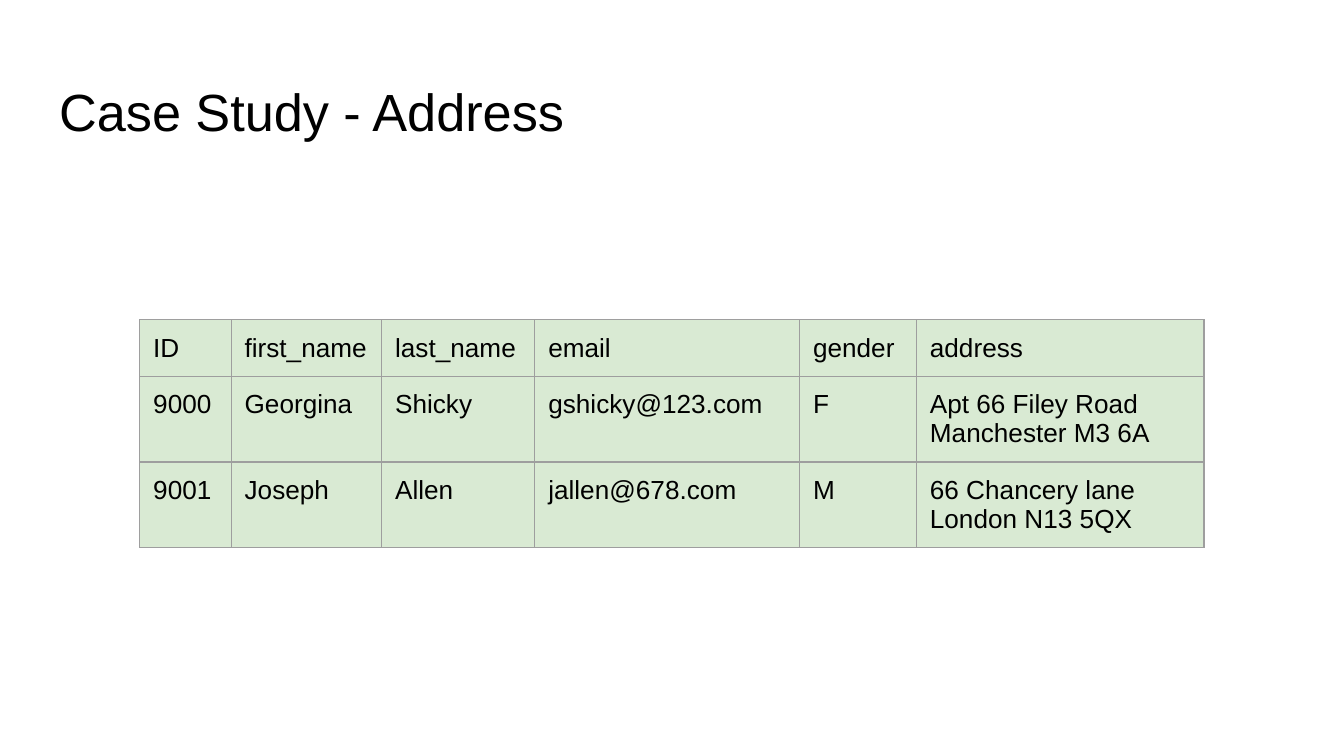
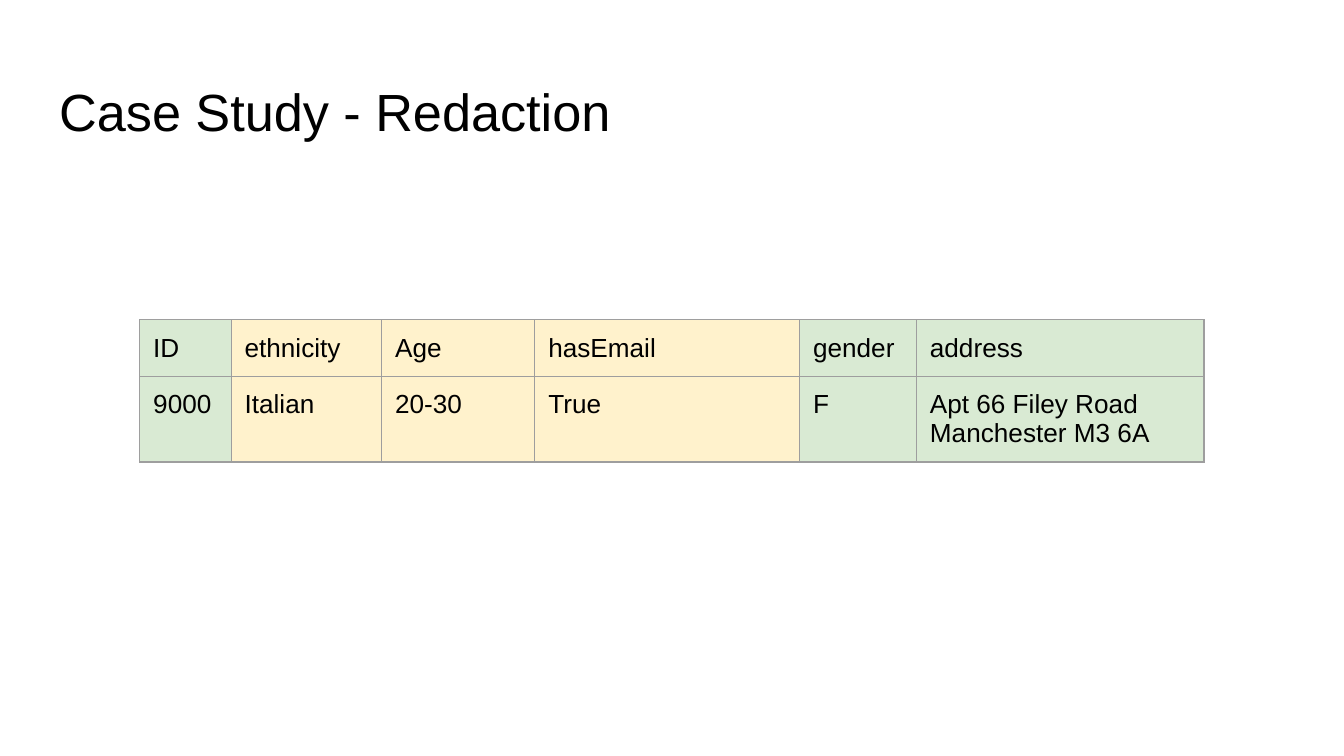
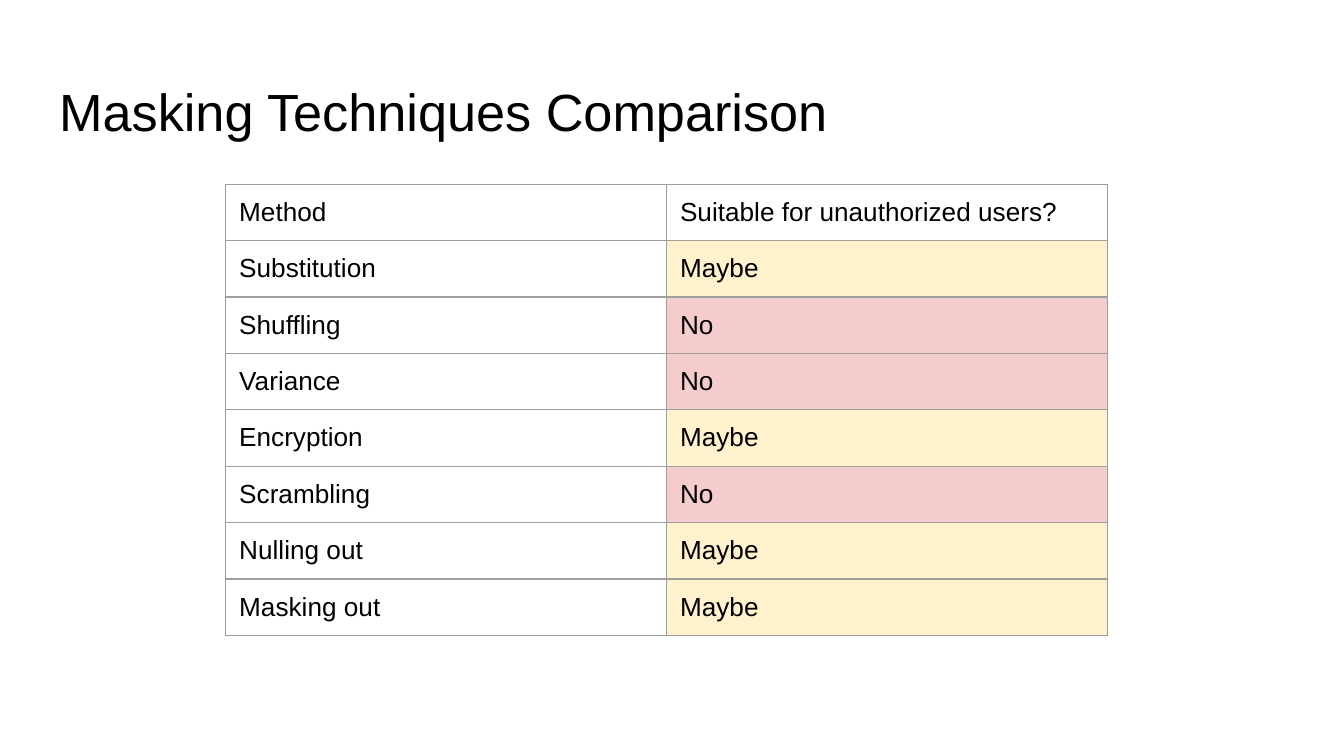
from lxml import etree
from pptx import Presentation
from pptx.dml.color import RGBColor
from pptx.enum import text
from pptx.oxml import ns
from pptx.util import Inches, Pt

COLORS = {"text": "000000", "border": "9E9E9E", "green": "D9EAD3",
          "yellow": "FFF2CC", "red": "F4CCCC"}
FONT = "Arial"
TITLE_ONLY = 5
TITLE_BOX = {"left": 0.34, "top": 0.49, "width": 9.32, "height": 0.63}
MARGINS = {"margin_left": 0.1, "margin_right": 0.1,
           "margin_top": 0.1, "margin_bottom": 0.1}
ROW_HEIGHT = 0.42
BORDER_WIDTH = 0.75

RECORD_AT = (1.04, 2.38)
RECORD_COLS = [0.68, 1.12, 1.14, 1.97, 0.87, 2.14]
COMPARISON_AT = (1.68, 1.37)
COMPARISON_COLS = [3.28, 3.28]

ADDRESS_ROWS = [
    ["ID", "first_name", "last_name", "email", "gender", "address"],
    ["9000", "Georgina", "Shicky", "gshicky@123.com", "F",
     "Apt 66 Filey Road Manchester M3 6A"],
    ["9001", "Joseph", "Allen", "jallen@678.com", "M",
     "66 Chancery lane London N13 5QX"],
]
REDACTION_ROWS = [
    ["ID", "ethnicity", "Age", "hasEmail", "gender", "address"],
    ["9000", "Italian", "20-30", "True", "F",
     "Apt 66 Filey Road Manchester M3 6A"],
]
REDACTED_COLS = (1, 2, 3)
COMPARISON_ROWS = [
    ["Method", "Suitable for unauthorized users?"],
    ["Substitution", "Maybe"],
    ["Shuffling", "No"],
    ["Variance", "No"],
    ["Encryption", "Maybe"],
    ["Scrambling", "No"],
    ["Nulling out", "Maybe"],
    ["Masking out", "Maybe"],
]
ANSWER_FILLS = {"Maybe": "yellow", "No": "red"}


def rgb(name):
    return RGBColor.from_string(COLORS[name])


def set_lengths(obj, lengths):
    for name, value in lengths.items():
        setattr(obj, name, Inches(value))


def write(tf, words, size):
    p = tf.paragraphs[0]
    p.alignment = text.PP_ALIGN.LEFT
    r = p.add_run()
    r.text = words
    for name, value in {"name": FONT, "size": Pt(size), "bold": False}.items():
        setattr(r.font, name, value)
    r.font.color.rgb = rgb("text")


def add_slide(prs, title):
    slide = prs.slides.add_slide(prs.slide_layouts[TITLE_ONLY])
    sp = slide.shapes.title
    set_lengths(sp, TITLE_BOX)
    tf = sp.text_frame
    set_lengths(tf, MARGINS)
    tf.word_wrap = True
    tf.auto_size = text.MSO_AUTO_SIZE.NONE
    tf.vertical_anchor = text.MSO_ANCHOR.TOP
    write(tf, title, 28)
    return slide


def add_borders(cell):
    tc_pr = cell._tc.get_or_add_tcPr()
    for side in ("lnL", "lnR", "lnT", "lnB"):
        ln = etree.SubElement(tc_pr, ns.qn(f"a:{side}"),
                              w=str(Pt(BORDER_WIDTH)))
        fill = etree.SubElement(ln, ns.qn("a:solidFill"))
        etree.SubElement(fill, ns.qn("a:srgbClr"), val=COLORS["border"])


def format_cell(cell, words, fill):
    set_lengths(cell, MARGINS)
    write(cell.text_frame, words, 14)
    add_borders(cell)
    if fill:
        cell.fill.solid()
        cell.fill.fore_color.rgb = rgb(fill)
    else:
        cell.fill.background()


def add_grid(slide, at, widths, rows, fill_for):
    """Add a table; fill_for(column, words) names a cell's colour or None."""
    left, top = at
    table = slide.shapes.add_table(
        len(rows), len(widths), Inches(left), Inches(top),
        Inches(sum(widths)), Inches(ROW_HEIGHT * len(rows))).table
    table.first_row = table.horz_banding = False
    for column, width in zip(table.columns, widths):
        column.width = Inches(width)
    for i, row in enumerate(rows):
        table.rows[i].height = Inches(ROW_HEIGHT)
        for j, words in enumerate(row):
            format_cell(table.cell(i, j), words, fill_for(j, words))


def main():
    prs = Presentation()
    prs.slide_width = Inches(10)
    prs.slide_height = prs.slide_width * 9 // 16

    slide = add_slide(prs, "Case Study - Address")
    add_grid(slide, RECORD_AT, RECORD_COLS, ADDRESS_ROWS,
             lambda column, words: "green")

    slide = add_slide(prs, "Case Study - Redaction")
    add_grid(slide, RECORD_AT, RECORD_COLS, REDACTION_ROWS,
             lambda column, words:
             "yellow" if column in REDACTED_COLS else "green")

    slide = add_slide(prs, "Masking Techniques Comparison")
    add_grid(slide, COMPARISON_AT, COMPARISON_COLS, COMPARISON_ROWS,
             lambda column, words: ANSWER_FILLS.get(words))

    prs.save("out.pptx")


if __name__ == "__main__":
    main()
